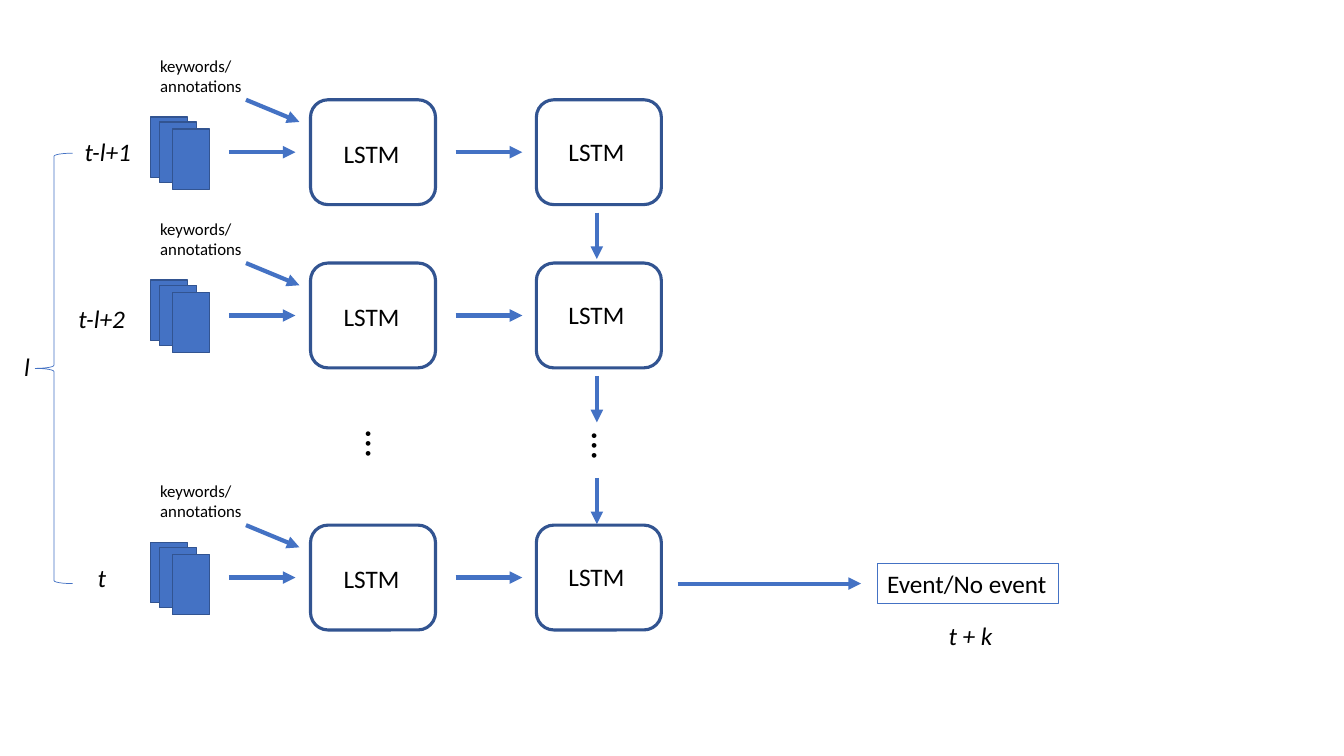
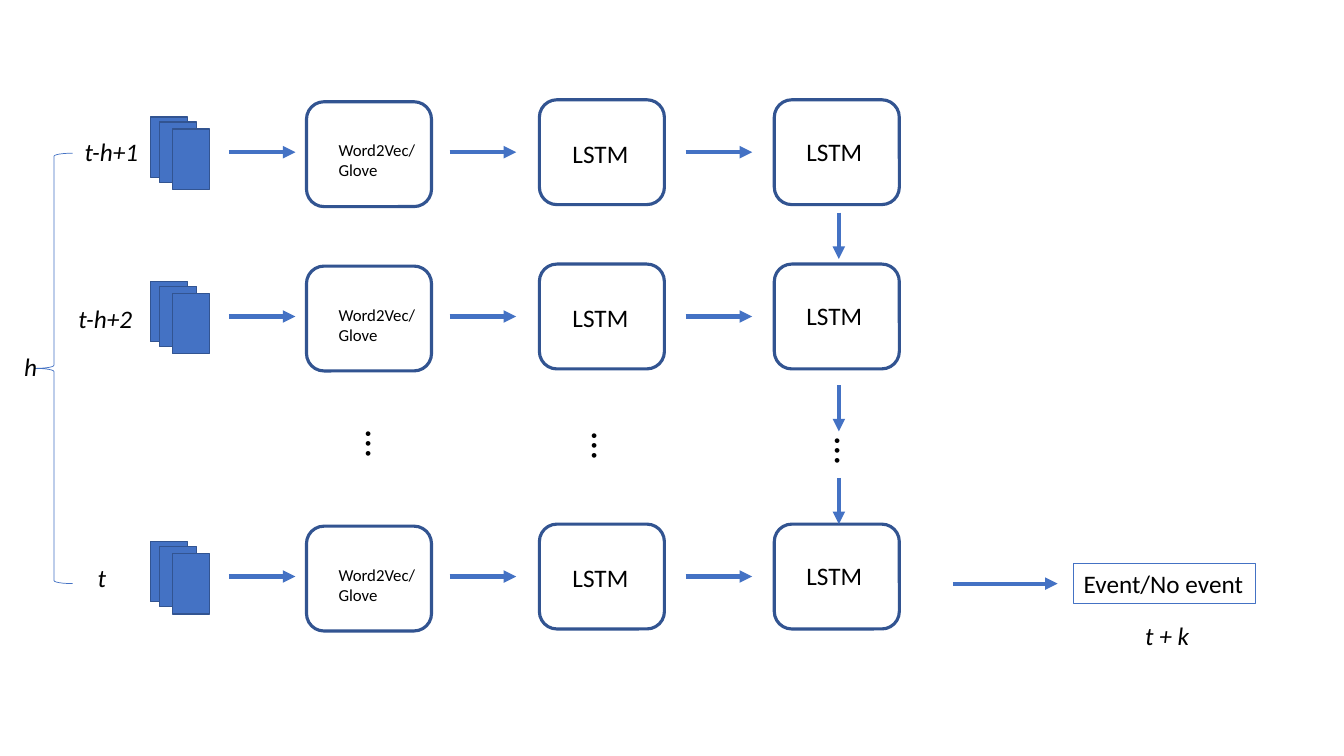
from dataclasses import dataclass

import lxml.etree
import pptx
import pptx.dml.color
import pptx.enum.shapes
import pptx.enum.text
import pptx.oxml.ns
import pptx.shapes.autoshape
import pptx.shapes.shapetree
import pptx.slide
import pptx.util

Inches = pptx.util.Inches
Pt = pptx.util.Pt
RGBColor = pptx.dml.color.RGBColor
Preset = pptx.enum.shapes.MSO_SHAPE
Shapes = pptx.shapes.shapetree.GroupShapes | pptx.shapes.shapetree.SlideShapes
AutoShape = pptx.shapes.autoshape.Shape

BLUE = RGBColor(0x44, 0x72, 0xC4)
NAVY = RGBColor(0x32, 0x54, 0x91)
BLACK = RGBColor(0x00, 0x00, 0x00)
FONT = "Calibri"

SHEET_OFFSETS = ((1.49, 0.17), (1.58, 0.22), (1.71, 0.29))
SHEET_SIZE = (0.37, 0.6)
CELL_SIZE = (1.24, 1.04)
LABEL_HEIGHT = 0.4
ROW_MIDDLE = 0.52
ARROW_LENGTH = 0.66
DROP_LENGTH = 0.46


@dataclass(frozen=True)
class Label:
    text: str
    left: float
    top: float
    width: float
    height: float = LABEL_HEIGHT
    size: float = 18
    italic: bool = False
    rotation: float = 0


@dataclass(frozen=True)
class Arrow:
    start: tuple[float, float]
    end: tuple[float, float]


@dataclass(frozen=True)
class Cell:
    left: float
    top: float
    label: Label


@dataclass(frozen=True)
class Network:
    row_tops: tuple[float, ...]
    cells: tuple[Cell, ...]
    flow_lefts: tuple[float, ...]
    row_labels: tuple[Label, ...]
    row_arrows: tuple[Arrow, ...]
    dots: tuple[tuple[float, float], ...]
    drop_left: float
    drop_tops: tuple[float, ...]
    window: str
    window_width: float
    step_width: float
    result_arrow: Arrow
    result_left: float


def add_label(shapes: Shapes, label: Label, shift: float = 0) -> AutoShape:
    box = shapes.add_textbox(
        Inches(label.left), Inches(label.top + shift), Inches(label.width), Inches(label.height)
    )
    box.rotation = label.rotation
    frame = box.text_frame
    frame.word_wrap = False
    frame.auto_size = pptx.enum.text.MSO_AUTO_SIZE.SHAPE_TO_FIT_TEXT
    for index, line in enumerate(label.text.split("\n")):
        para = frame.add_paragraph() if index else frame.paragraphs[0]
        span = para.add_run()
        span.text = line
        span.font.name = FONT
        span.font.size = Pt(label.size)
        span.font.italic = label.italic
        span.font.color.rgb = BLACK
    return box


def add_outline(
    shapes: Shapes,
    preset: Preset,
    position: tuple[float, float],
    size: tuple[float, float],
    line: RGBColor,
    weight: float,
    fill: RGBColor | None = None,
) -> None:
    shape = shapes.add_shape(preset, *map(Inches, position + size))
    shape.shadow.inherit = False
    shape.line.color.rgb = line
    shape.line.width = Pt(weight)
    if fill is None:
        shape.fill.background()
    else:
        shape.fill.solid()
        shape.fill.fore_color.rgb = fill


def add_arrow(shapes: Shapes, arrow: Arrow, shift: float = 0) -> None:
    (left, top), (right, bottom) = arrow.start, arrow.end
    connector = shapes.add_connector(
        pptx.enum.shapes.MSO_CONNECTOR.STRAIGHT,
        Inches(left), Inches(top + shift), Inches(right), Inches(bottom + shift),
    )
    connector.line.color.rgb = BLUE
    connector.line.width = Pt(3)
    qn = pptx.oxml.ns.qn
    properties = connector.element.spPr
    lxml.etree.SubElement(properties.find(qn("a:ln")), qn("a:tailEnd"), type="triangle")
    lxml.etree.SubElement(properties, qn("a:effectLst"))


def add_row(page: pptx.slide.Slide, network: Network, top: float) -> None:
    shapes = page.shapes.add_group_shape().shapes
    for left, offset in SHEET_OFFSETS:
        add_outline(shapes, Preset.RECTANGLE, (left, top + offset), SHEET_SIZE, NAVY, 1, BLUE)
    for cell in network.cells:
        add_outline(
            shapes, Preset.ROUNDED_RECTANGLE, (cell.left, top + cell.top), CELL_SIZE, NAVY, 2.25
        )
        add_label(shapes, cell.label, top)
    for left in network.flow_lefts:
        add_arrow(shapes, Arrow((left, ROW_MIDDLE), (left + ARROW_LENGTH, ROW_MIDDLE)), top)
    for label in network.row_labels:
        add_label(shapes, label, top)
    for arrow in network.row_arrows:
        add_arrow(shapes, arrow, top)


def add_network(deck: pptx.presentation.Presentation, network: Network) -> None:
    page = deck.slides.add_slide(deck.slide_layouts[6])
    shapes = page.shapes
    for top in network.row_tops:
        add_row(page, network, top)
    for left, top in network.dots:
        add_label(shapes, Label("…", left, top, 0.47, 0.57, size=28, rotation=90))
    for top in network.drop_tops:
        left = network.drop_left
        add_arrow(shapes, Arrow((left, top), (left, top + DROP_LENGTH)))

    window = network.window
    add_outline(shapes, Preset.LEFT_BRACE, (0.35, 1.52), (0.37, 4.27), BLUE, 0.5)
    for label in (
        Label(f"t-{window}+1", 0.74, 1.3, network.step_width, italic=True),
        Label(f"t-{window}+2", 0.68, 2.96, network.step_width, italic=True),
        Label("t", 0.87, 5.53, 0.29, italic=True),
        Label(window, 0.14, 3.44, network.window_width, italic=True),
        Label("t + k", network.result_left + 0.61, 6.1, 0.64, italic=True),
    ):
        add_label(shapes, label)

    add_arrow(shapes, network.result_arrow)
    result = add_label(shapes, Label("Event/No event", network.result_left, 5.59, 1.8))
    result.line.color.rgb = BLUE
    result.line.width = Pt(0.75)


KEYWORDS = Network(
    row_tops=(0.99, 2.61, 5.21),
    cells=(
        Cell(3.08, 0, Label("LSTM", 3.31, 0.33, 0.76)),
        Cell(5.32, 0, Label("LSTM", 5.54, 0.31, 0.76)),
    ),
    flow_lefts=(2.27, 4.52),
    row_labels=(Label("keywords/\nannotations", 1.49, -0.49, 1.02, 0.5, size=12),),
    row_arrows=(Arrow((2.44, 0), (2.97, 0.22)),),
    dots=((3.55, 4.12), (5.79, 4.14)),
    drop_left=5.92,
    drop_tops=(2.11, 3.73, 4.74),
    window="l",
    window_width=0.26,
    step_width=0.67,
    result_arrow=Arrow((6.72, 5.79), (8.54, 5.79)),
    result_left=8.7,
)

EMBEDDINGS = Network(
    row_tops=(0.99, 2.62, 5.2),
    cells=(
        Cell(3.04, 0.02, Label("Word2Vec/\nGlove", 3.26, 0.35, 0.97, 0.5, size=12)),
        Cell(5.35, 0, Label("LSTM", 5.58, 0.33, 0.76)),
        Cell(7.68, 0, Label("LSTM", 7.9, 0.31, 0.76)),
    ),
    flow_lefts=(2.27, 4.46, 6.8),
    row_labels=(),
    row_arrows=(),
    dots=((3.55, 4.12), (5.79, 4.14), (8.2, 4.19)),
    drop_left=8.32,
    drop_tops=(2.11, 3.82, 4.74),
    window="h",
    window_width=0.33,
    step_width=0.74,
    result_arrow=Arrow((9.45, 5.79), (10.49, 5.79)),
    result_left=10.65,
)

deck = pptx.Presentation()
deck.slide_width = Inches(13.33)
deck.slide_height = Inches(7.5)
for network in (KEYWORDS, EMBEDDINGS):
    add_network(deck, network)
deck.save("out.pptx")
